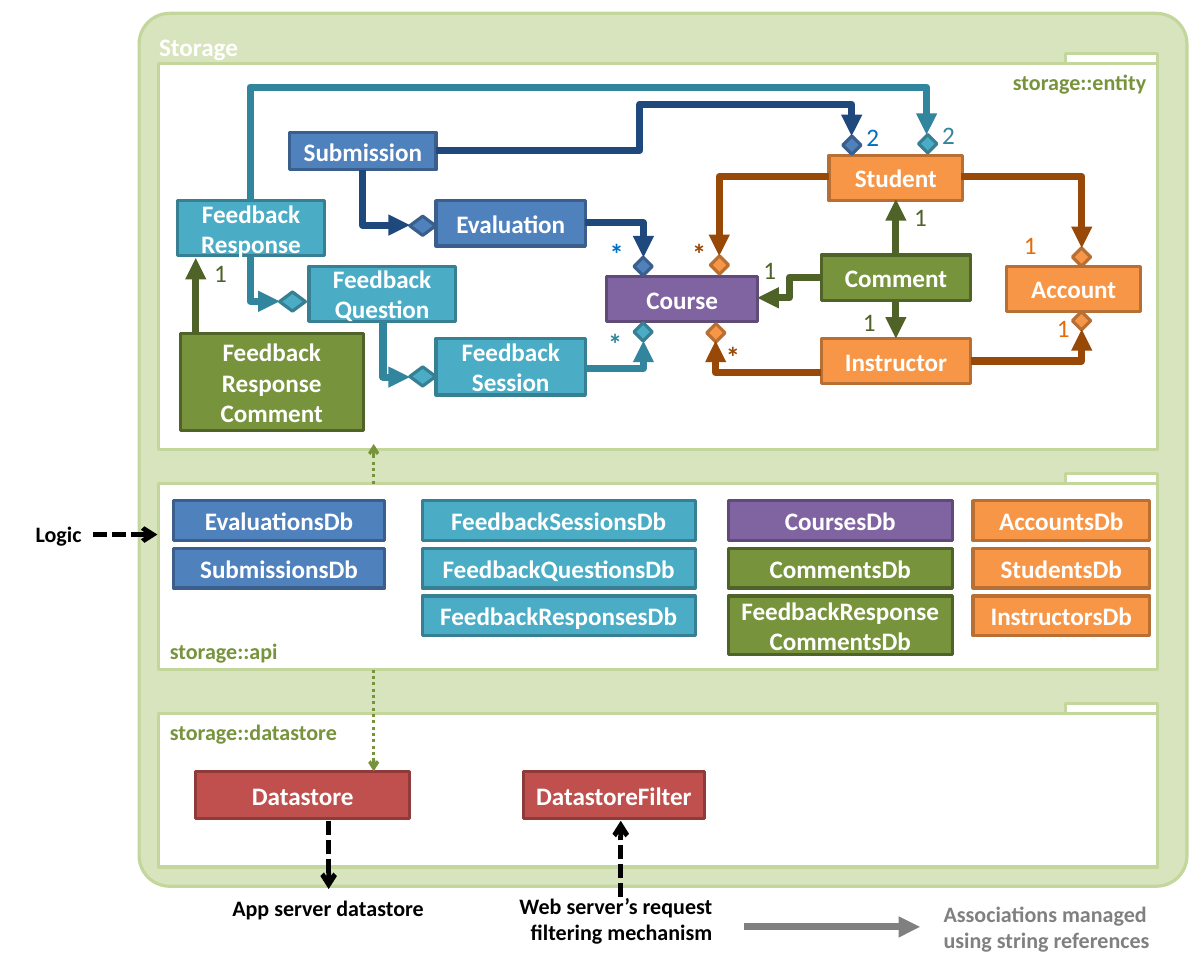
from lxml.etree import SubElement
from pptx import Presentation
from pptx.dml.color import RGBColor
from pptx.enum.dml import MSO_LINE
from pptx.enum.shapes import MSO_CONNECTOR, MSO_SHAPE
from pptx.enum.text import MSO_ANCHOR, PP_ALIGN
from pptx.oxml.ns import qn
from pptx.util import Cm, Pt

BLUE = ("4F81BD", "3A5F8C")
TEAL = ("4BACC6", "377F92")
ORANGE = ("F79646", "B76F34")
PURPLE = ("8064A2", "5F4A78")
GREEN = ("77933C", "4F6228")
RED = ("C0504D", "8E3B39")
PANEL = ("FFFFFF", "C3D69B")
NAVY, AQUA, BROWN, OLIVE = "1F497D", "31859C", "984807", "4F6228"
SKY, AMBER, GREY, BLACK, WHITE = "0070C0", "E46C0A", "808080", "000000", "FFFFFF"


def rgb(value):
    return RGBColor.from_string(value)


def write(sp, text, color, size=16, bold=True, align=PP_ALIGN.LEFT,
          anchor=MSO_ANCHOR.TOP):
    tf = sp.text_frame
    tf.word_wrap = True
    tf.vertical_anchor = anchor
    p = tf.paragraphs[0]
    p.text = text
    p.alignment = align
    for r in p.runs:
        r.font.name = "Calibri"
        r.font.size = Pt(size)
        r.font.bold = bold
        r.font.color.rgb = rgb(color)


def shape(s, kind, x, y, w, h, colors):
    sp = s.shapes.add_shape(kind, Cm(x), Cm(y), Cm(w), Cm(h))
    sp.shadow.inherit = False
    sp.fill.solid()
    sp.fill.fore_color.rgb = rgb(colors[0])
    sp.line.color.rgb = rgb(colors[1])
    sp.line.width = Pt(2)
    return sp


def block(s, x, y, w, h, text, colors):
    sp = shape(s, MSO_SHAPE.RECTANGLE, x, y, w, h, colors)
    write(sp, text, WHITE, align=PP_ALIGN.CENTER, anchor=MSO_ANCHOR.MIDDLE)


def label(s, x, y, w, h, text, color, size=14, bold=True, align=PP_ALIGN.RIGHT,
          tight=False):
    sp = s.shapes.add_textbox(Cm(x), Cm(y), Cm(w), Cm(h))
    write(sp, text, color, size, bold, align,
          MSO_ANCHOR.MIDDLE if tight else MSO_ANCHOR.TOP)
    if tight:
        tf = sp.text_frame
        tf.margin_left = tf.margin_right = tf.margin_top = tf.margin_bottom = 0


def arrow(s, x1, y1, x2, y2, color, width=4.5, dash=None, end="tailEnd",
          tip="triangle", bends=0, adjust=()):
    kind = MSO_CONNECTOR.ELBOW if bends else MSO_CONNECTOR.STRAIGHT
    cxn = s.shapes.add_connector(kind, Cm(x1), Cm(y1), Cm(x2), Cm(y2))
    cxn.line.color.rgb = rgb(color)
    cxn.line.width = Pt(width)
    if dash:
        cxn.line.dash_style = dash
    props = cxn._element.spPr
    SubElement(props.find(qn("a:ln")), qn("a:" + end), type=tip)
    SubElement(props, qn("a:effectLst"))
    if bends:
        geom = props.find(qn("a:prstGeom"))
        geom.set("prst", f"bentConnector{bends + 1}")
        for i, value in enumerate(adjust, 1):
            SubElement(geom.find(qn("a:avLst")), qn("a:gd"), name=f"adj{i}",
                       fmla=f"val {round(value * 100000)}")


def panel(s, x, y, w, h, title, align=PP_ALIGN.LEFT, anchor=MSO_ANCHOR.TOP):
    sp = shape(s, MSO_SHAPE.RECTANGLE, x, y, w, h, PANEL)
    write(sp, title, GREEN[0], 14, align=align, anchor=anchor)
    shape(s, MSO_SHAPE.RECTANGLE, x + w - 2.06, y - 0.22, 2.06, 0.22, PANEL)


def storage_frame(s, x, y, w, h):
    sp = shape(s, MSO_SHAPE.ROUNDED_RECTANGLE, x, y, w, h, ("D7E4BD", "C3D69B"))
    sp.adjustments[0] = 0.035
    write(sp, "Storage", WHITE)
    sp.text_frame.margin_left = Cm(0.25)
    sp.text_frame.margin_top = Cm(0.2)


def entity_region(s, x, y, w, h):
    panel(s, x, y, w, h, "storage::entity", align=PP_ALIGN.RIGHT)
    for dx, dy, bw, bh, text, colors in (
            (2.94, 1.55, 3.28, 0.84, "Submission", BLUE),
            (6.22, 3.08, 3.35, 1.02, "Evaluation", BLUE),
            (0.43, 3.08, 3.28, 1.24, "Feedback\vResponse", TEAL),
            (3.37, 4.55, 3.28, 1.24, "Feedback\vQuestion", TEAL),
            (6.22, 6.17, 3.35, 1.27, "Feedback\vSession", TEAL),
            (0.48, 6.07, 4.11, 2.16, "Feedback\vResponse\vComment", GREEN),
            (10.05, 4.78, 3.38, 1.02, "Course", PURPLE),
            (15.03, 2.06, 3, 1.02, "Student", ORANGE),
            (14.86, 4.3, 3.35, 1.02, "Comment", GREEN),
            (14.86, 6.17, 3.35, 1.02, "Instructor", ORANGE),
            (19.02, 4.55, 3, 1.02, "Account", ORANGE)):
        block(s, x + dx, y + dy, bw, bh, text, colors)

    wide, small = (0.58, 0.43), (0.41, 0.41)
    for dx, dy, size, colors in (
            (5.63, 3.43, wide, BLUE), (2.71, 5.13, wide, TEAL),
            (5.63, 6.81, wide, TEAL), (10.66, 4.35, small, BLUE),
            (15.34, 1.63, small, BLUE), (10.66, 5.82, small, TEAL),
            (17.04, 1.6, small, TEAL), (12.37, 4.32, small, ORANGE),
            (12.29, 5.84, small, ORANGE), (20.49, 4.14, small, ORANGE),
            (20.49, 5.57, small, ORANGE)):
        shape(s, MSO_SHAPE.DIAMOND, x + dx, y + dy, *size, colors)

    for x1, y1, x2, y2, color, end, bends, adjust in (
            (6.22, 1.96, 15.54, 1.63, NAVY, "tailEnd", 3, (0.49, 3.15)),
            (2.05, 3.08, 17.22, 1.6, AQUA, "tailEnd", 3, (0, 1.72)),
            (9.57, 3.58, 10.87, 4.35, NAVY, "tailEnd", 1, ()),
            (5.63, 3.63, 4.57, 2.39, NAVY, "headEnd", 1, ()),
            (18, 2.54, 20.7, 4.14, BROWN, "tailEnd", 1, ()),
            (15.03, 2.54, 12.57, 4.32, BROWN, "tailEnd", 1, ()),
            (18.21, 6.68, 20.7, 5.97, BROWN, "tailEnd", 1, ()),
            (14.86, 6.94, 12.49, 6.23, BROWN, "tailEnd", 1, ()),
            (9.57, 6.84, 10.87, 6.23, AQUA, "tailEnd", 1, ()),
            (5.63, 7.04, 5.03, 5.79, AQUA, "headEnd", 1, ()),
            (2.71, 5.34, 2.05, 4.32, AQUA, "headEnd", 1, ()),
            (14.86, 4.8, 13.43, 5.26, OLIVE, "tailEnd", 2, (0.5,)),
            (16.53, 4.3, 16.53, 3.05, OLIVE, "tailEnd", 0, ()),
            (16.53, 5.31, 16.53, 6.17, OLIVE, "tailEnd", 0, ()),
            (0.83, 6.07, 0.83, 4.37, OLIVE, "tailEnd", 0, ())):
        arrow(s, x + x1, y + y1, x + x2, y + y2, color, end=end, bends=bends,
              adjust=adjust)

    for dx, dy, text, color in (
            (11.96, 3.99, "*", BROWN), (12.72, 6.28, "*", BROWN),
            (10.11, 3.99, "*", SKY), (10.08, 6, "*", AQUA),
            (15.87, 1.35, "2", SKY), (17.57, 1.32, "2", AQUA),
            (19.4, 3.79, "1", AMBER), (20.14, 5.64, "1", AMBER),
            (16.94, 3.15, "1", OLIVE), (15.79, 5.51, "1", OLIVE),
            (13.56, 4.35, "1", OLIVE), (1.24, 4.42, "1", OLIVE)):
        star = text == "*"
        label(s, x + dx, y + dy, 0.48, 0.56, text, color, 18 if star else 16,
              star, PP_ALIGN.LEFT, tight=True)


def api_region(s, x, y, w, h):
    panel(s, x, y, w, h, "storage::api", anchor=MSO_ANCHOR.BOTTOM)
    for dx, bw, items in (
            (0.33, 4.74, (("EvaluationsDb", BLUE), ("SubmissionsDb", BLUE))),
            (5.91, 6.12, (("FeedbackSessionsDb", TEAL),
                          ("FeedbackQuestionsDb", TEAL),
                          ("FeedbackResponsesDb", TEAL))),
            (12.77, 5.03, (("CoursesDb", PURPLE), ("CommentsDb", GREEN),
                           ("FeedbackResponse\vCommentsDb", GREEN))),
            (18.26, 3.96, (("AccountsDb", ORANGE), ("StudentsDb", ORANGE),
                           ("InstructorsDb", ORANGE)))):
        for row, (text, colors) in enumerate(items):
            bh = 1.32 if "\v" in text else 0.89
            block(s, x + dx, y + 0.38 + 1.07 * row, bw, bh, text, colors)
    for y1, y2 in ((0, -0.89), (h, h + 2.28)):
        arrow(s, x + 4.82, y + y1, x + 4.82, y + y2, GREEN[0], 2,
              MSO_LINE.ROUND_DOT, tip="arrow")
    label(s, x - 3.18, y + 0.71, 1.7, 0.86, "Logic", BLACK)
    arrow(s, x - 1.48, y + 1.14, x - 0.03, y + 1.14, BLACK, 3,
          MSO_LINE.SQUARE_DOT, tip="arrow")


def datastore_region(s, x, y, w, h):
    panel(s, x, y, w, h, "storage::datastore")
    block(s, x + 0.83, y + 1.3, 4.8, 1.07, "Datastore", RED)
    block(s, x + 8.18, y + 1.3, 4.06, 1.07, "DatastoreFilter", RED)
    for dx, y1, y2 in ((3.81, 2.41, 3.94), (10.36, 4.12, 2.41)):
        arrow(s, x + dx, y + y1, x + dx, y + y2, BLACK, 3,
              MSO_LINE.SQUARE_DOT, tip="arrow")
    label(s, x + 1.15, y + 3.94, 5.05, 0.86, "App server datastore", BLACK)
    label(s, x + 7.62, y + 3.89, 5.05, 0.86,
          "Web server’s request filtering mechanism", BLACK)


def legend(s, x, y, w, h):
    arrow(s, x, y + h / 2, x + 3.94, y + h / 2, GREY)
    label(s, x + 4.47, y, w - 4.47, h, "Associations managed using string references",
          GREY, align=PP_ALIGN.LEFT, tight=True)


def main():
    prs = Presentation()
    prs.slide_width, prs.slide_height = Cm(27), Cm(21.6)
    s = prs.slides.add_slide(prs.slide_layouts[6])
    storage_frame(s, 3.12, 0.3, 23.5, 19.58)
    datastore_region(s, 3.56, 16, 22.4, 3.45)
    entity_region(s, 3.56, 1.42, 22.4, 8.66)
    api_region(s, 3.56, 10.85, 22.4, 4.17)
    legend(s, 16.69, 20.47, 9.4, 0.64)
    prs.save("out.pptx")


if __name__ == "__main__":
    main()
